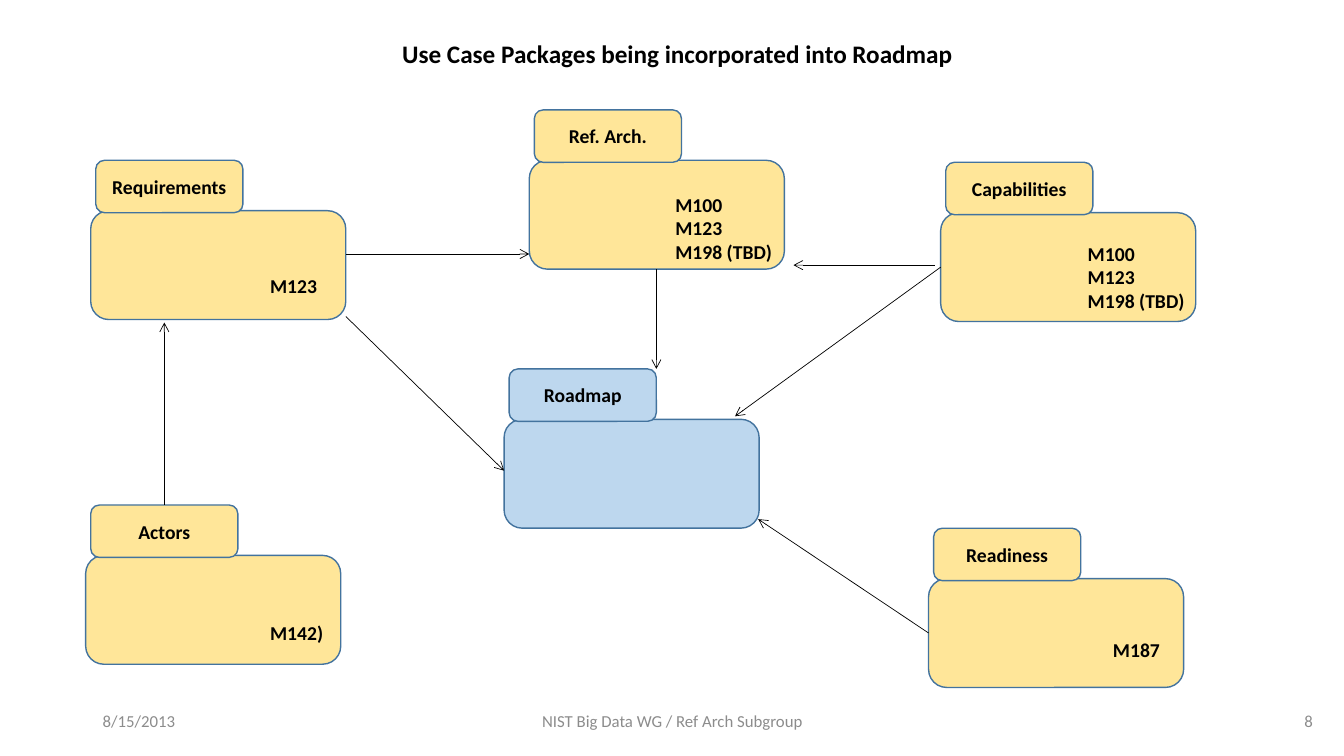
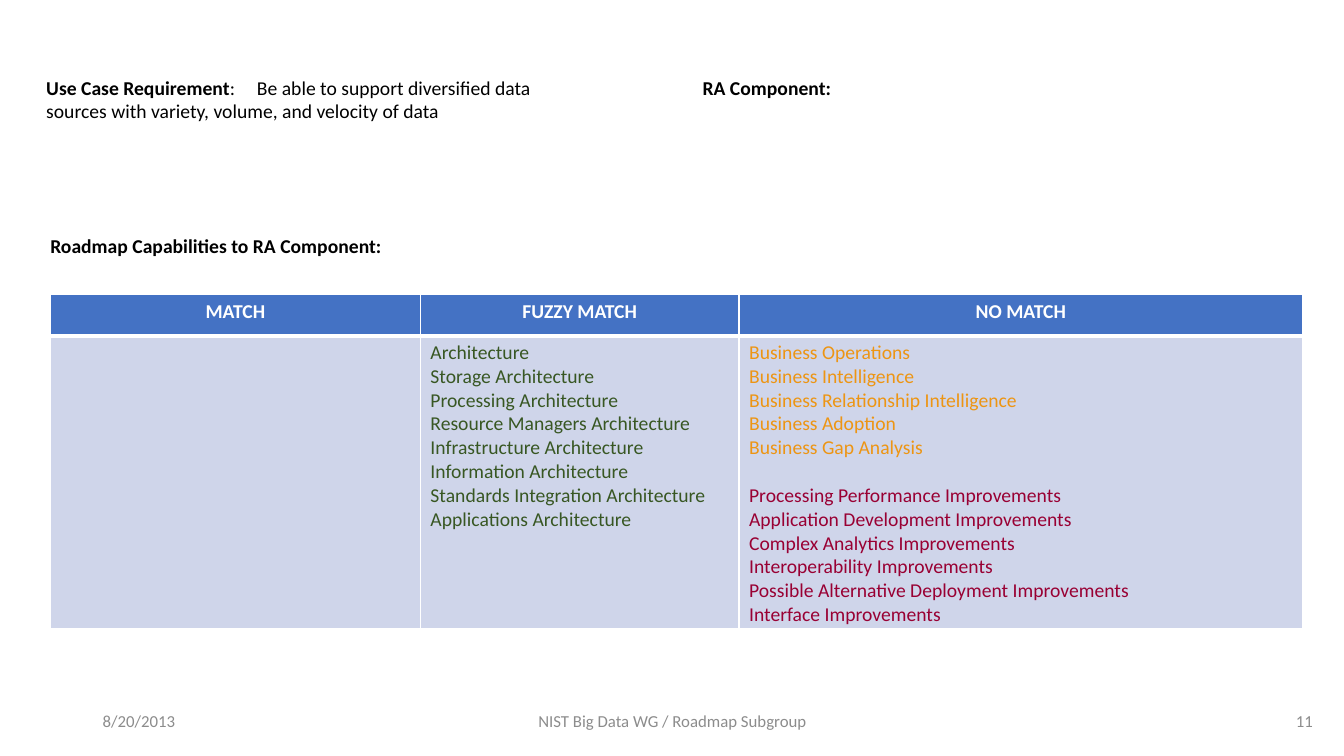
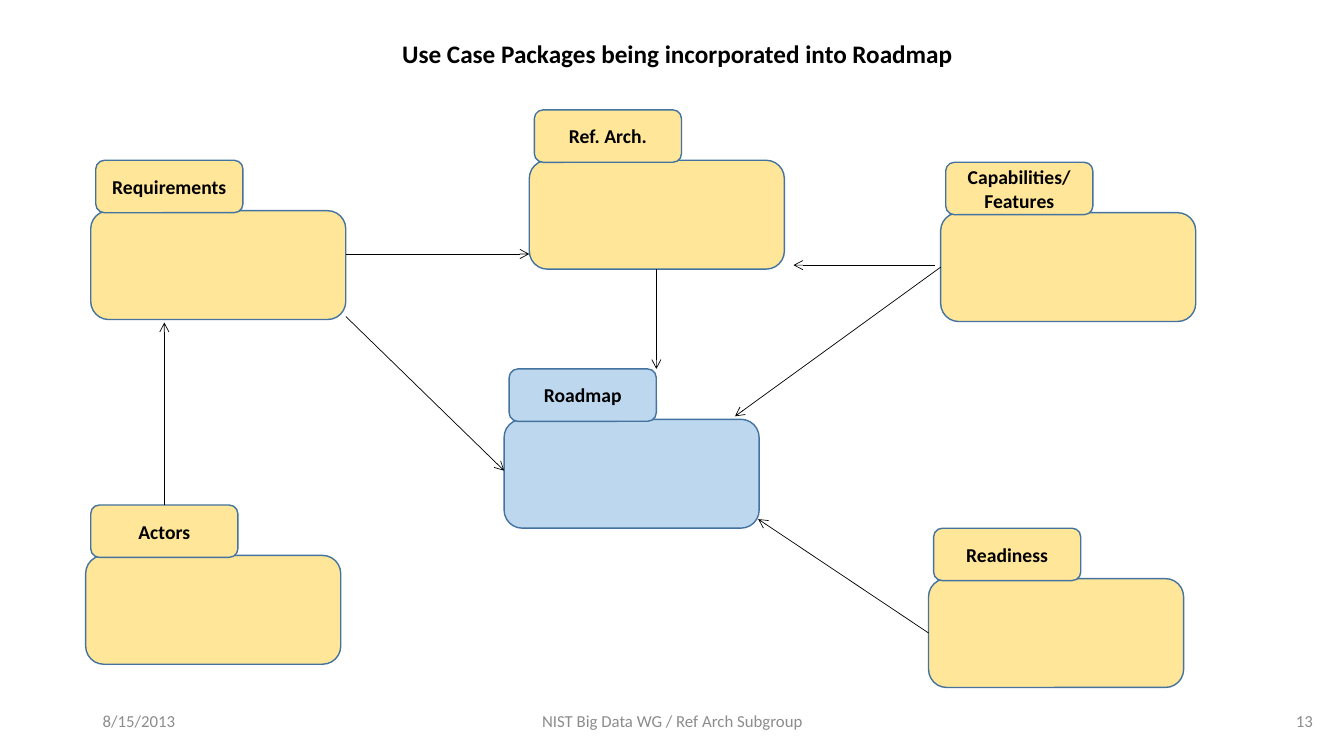
from lxml.etree import SubElement
from pptx import Presentation
from pptx.dml.color import RGBColor
from pptx.enum.shapes import MSO_CONNECTOR as Connector, MSO_SHAPE as Shape
from pptx.enum.text import MSO_ANCHOR as Anchor, PP_ALIGN as Align
from pptx.oxml import parse_xml
from pptx.oxml.ns import nsdecls, qn
from pptx.util import Inches, Pt


class Theme:
    font = "Calibri"
    title_size, text_size, footer_size = Pt(18), Pt(14), Pt(12)
    black = RGBColor.from_string("000000")
    white = RGBColor.from_string("FFFFFF")
    gray = RGBColor.from_string("8C8C8C")
    yellow = RGBColor.from_string("FFE699")
    blue = RGBColor.from_string("BDD7EE")
    outline = RGBColor.from_string("43739E")
    header = RGBColor.from_string("4472C4")
    cell = RGBColor.from_string("CFD5EA")
    green = RGBColor.from_string("385723")
    orange = RGBColor.from_string("ED9513")
    crimson = RGBColor.from_string("990033")


def write(frame, lines, size=Theme.text_size, color=Theme.black, bold=True, align=Align.LEFT):
    """Fill a text frame with one paragraph per line."""
    for index, line in enumerate(lines):
        para = frame.paragraphs[0] if index == 0 else frame.add_paragraph()
        para.text = line
        para.alignment = align
        para.font.name = Theme.font
        para.font.size = size
        para.font.bold = bold
        para.font.color.rgb = color


def add_text(page, place, lines, wrap=False, anchor=Anchor.TOP, **style):
    """Add a text box at (left, top, width, height) in inches."""
    box = page.shapes.add_textbox(*map(Inches, place))
    box.text_frame.word_wrap = wrap
    box.text_frame.vertical_anchor = anchor
    write(box.text_frame, lines, **style)
    return box.text_frame


deck = Presentation()
deck.slide_width, deck.slide_height = Inches(13.33), Inches(7.5)

# Pages and their footers
footers = [
    ("8/15/2013", "NIST Big Data WG / Ref Arch Subgroup", "8"),
    ("8/20/2013", "NIST Big Data WG / Roadmap Subgroup", "11"),
    ("8/15/2013", "NIST Big Data WG / Ref Arch Subgroup", "13"),
]
footer_columns = [(0.92, 3, Align.LEFT), (4.42, 4.5, Align.CENTER), (9.92, 3.2, Align.RIGHT)]
pages = []
for footer in footers:
    page = deck.slides.add_slide(deck.slide_layouts[6])
    pages.append(page)
    for text, (left, width, align) in zip(footer, footer_columns):
        add_text(page, (left, 6.95, width, 0.4), [text], wrap=True, anchor=Anchor.MIDDLE,
                 size=Theme.footer_size, color=Theme.gray, bold=False, align=align)
use_case_page, match_page, feature_page = pages

# Package diagram: body corner, fill and name of each package
packages = [
    (0.9, 2.09, Theme.yellow, "Requirements"),
    (5.25, 1.59, Theme.yellow, "Ref. Arch."),
    (9.33, 2.11, Theme.yellow, "Capabilities"),
    (9.21, 5.74, Theme.yellow, "Readiness"),
    (5, 4.16, Theme.blue, "Roadmap"),
    (0.85, 5.51, Theme.yellow, "Actors"),
]
arrows = [
    (1.63, 5.01, 1.63, 3.2),
    (3.43, 3.14, 5, 4.67),
    (3.43, 2.52, 5.25, 2.52),
    (6.51, 2.67, 6.51, 3.66),
    (9.33, 2.65, 7.29, 4.13),
    (9.27, 2.63, 7.87, 2.63),
    (9.21, 6.28, 7.52, 5.15),
]
longer_names = {"Capabilities": ["Capabilities/", "Features"]}

for page, renamed in [(use_case_page, {}), (feature_page, longer_names)]:
    for left, top, fill, name in packages:
        body = (left, top, 2.53, 1.08)
        tab = (left + 0.05, top - 0.5, 1.46, 0.52)
        for place, lines in [(body, []), (tab, renamed.get(name, [name]))]:
            box = page.shapes.add_shape(Shape.ROUNDED_RECTANGLE, *map(Inches, place))
            box.shadow.inherit = False
            box.fill.solid()
            box.fill.fore_color.rgb = fill
            box.line.color.rgb = Theme.outline
            box.line.width = Pt(1)
            box.text_frame.vertical_anchor = Anchor.MIDDLE
            write(box.text_frame, lines, align=Align.CENTER)

    for ends in arrows:
        arrow = page.shapes.add_connector(Connector.STRAIGHT, *map(Inches, ends))
        arrow.line.color.rgb = Theme.black
        arrow.line.width = Pt(0.5)
        properties = arrow._element.spPr
        SubElement(properties.find(qn("a:ln")), qn("a:tailEnd"), type="arrow")
        SubElement(properties, qn("a:effectLst"))

    add_text(page, (3.89, 0.33, 5.7, 0.4),
             ["Use Case Packages being incorporated into Roadmap"], size=Theme.title_size)

# Use cases inside the packages
shared_cases = ["M100", "M123", "M198 (TBD)"]
for place, cases in [
    ((6.6, 1.86, 1.17, 0.81), shared_cases),
    ((10.69, 2.35, 1.17, 0.81), shared_cases),
    ((2.58, 6.11, 0.73, 0.34), ["M142)"]),
    ((2.58, 2.67, 0.67, 0.34), ["M123"]),
    ((10.94, 6.28, 0.67, 0.34), ["M187"]),
]:
    add_text(use_case_page, place, cases)

# Requirement and component headings
add_text(match_page, (6.87, 0.7, 1.48, 0.34), ["RA Component:"])
add_text(match_page, (0.4, 2.27, 3.51, 0.34), ["Roadmap Capabilities to RA Component:"])
requirement = add_text(match_page, (0.36, 0.7, 5.29, 0.57), ["Use Case Requirement"], wrap=True)
para = requirement.paragraphs[0]
span = para.add_run()
span.text = (":\tBe able to support diversified data "
             "sources with variety, volume, and velocity of data")
span.font.bold = False
tab_stops = parse_xml(f'<a:tabLst {nsdecls("a")}><a:tab pos="{Inches(2.09)}" algn="l"/></a:tabLst>')
para._p.pPr.insert(0, tab_stops)

# Match table
headings = ["MATCH", "FUZZY MATCH", "NO MATCH"]
fuzzy_matches = [
    "Architecture",
    "Storage Architecture",
    "Processing Architecture",
    "Resource Managers Architecture",
    "Infrastructure Architecture",
    "Information Architecture",
    "Standards Integration Architecture",
    "Applications Architecture",
]
business_gaps = [
    "Business Operations",
    "Business Intelligence",
    "Business Relationship Intelligence",
    "Business Adoption",
    "Business Gap Analysis",
]
improvement_gaps = [
    "Processing Performance Improvements",
    "Application Development Improvements",
    "Complex Analytics Improvements",
    "Interoperability Improvements",
    "Possible Alternative Deployment Improvements",
    "Interface Improvements",
]
table = match_page.shapes.add_table(
    2, 3, Inches(0.5), Inches(2.92), Inches(12.42), Inches(3.31)).table
table.horz_banding = False
for column, width in zip(table.columns, [3.67, 3.16, 5.59]):
    column.width = Inches(width)
for row, height in zip(table.rows, [0.41, 2.9]):
    row.height = Inches(height)

for column, heading in enumerate(headings):
    write(table.cell(0, column).text_frame, [heading], color=Theme.white, align=Align.CENTER)
write(table.cell(1, 1).text_frame, fuzzy_matches, color=Theme.green, bold=False)
no_match = table.cell(1, 2).text_frame
write(no_match, business_gaps + improvement_gaps, color=Theme.orange, bold=False)
improvements = no_match.paragraphs[len(business_gaps):]
improvements[0].space_before = Pt(17)
for para in improvements:
    para.font.color.rgb = Theme.crimson

# Cell fills and white borders, heavier below the heading row
for row, fill, top_width, bottom_width in [(0, Theme.header, 1, 3), (1, Theme.cell, 3, 1)]:
    for column in range(len(headings)):
        cell = table.cell(row, column)
        cell.fill.solid()
        cell.fill.fore_color.rgb = fill
        sides = [("lnL", 1), ("lnR", 1), ("lnT", top_width), ("lnB", bottom_width)]
        for index, (side, width) in enumerate(sides):
            border = parse_xml(
                f'<a:{side} {nsdecls("a")} w="{Pt(width)}"><a:solidFill>'
                f'<a:srgbClr val="{Theme.white}"/></a:solidFill></a:{side}>')
            cell._tc.tcPr.insert(index, border)

deck.save("out.pptx")
